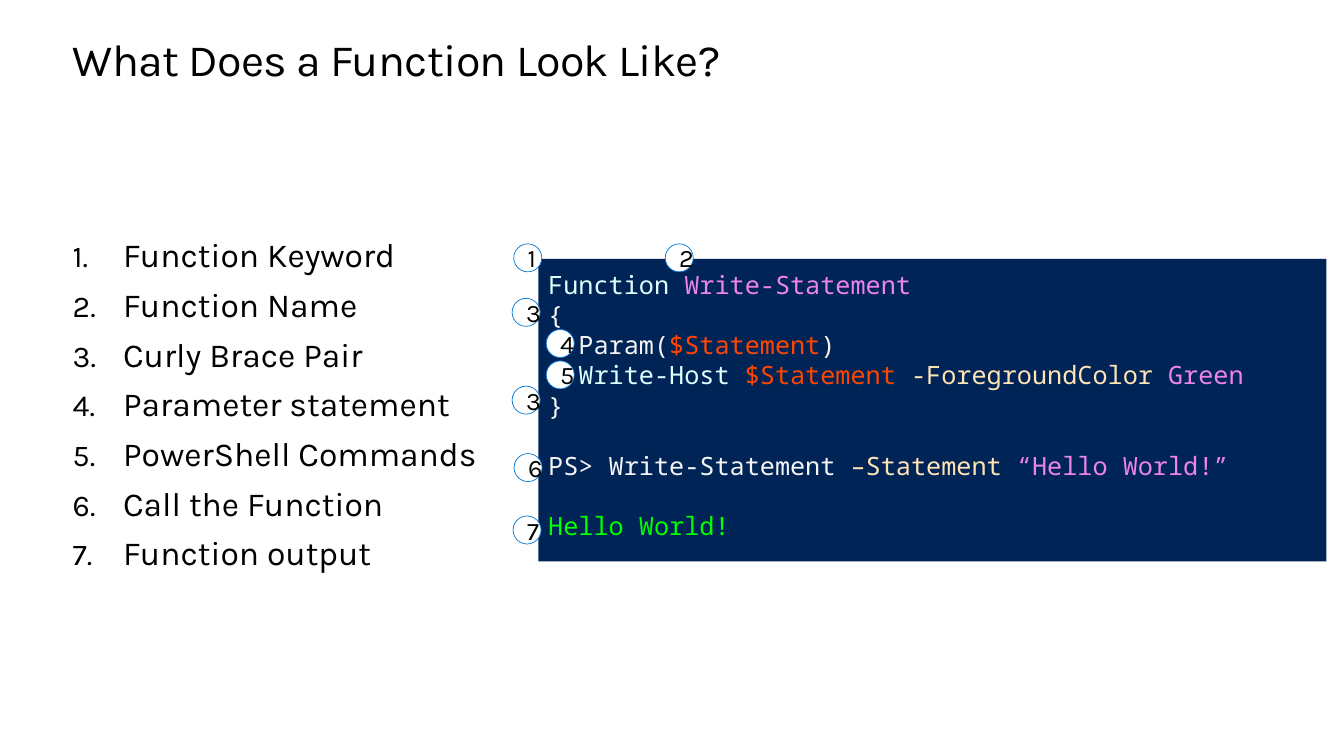
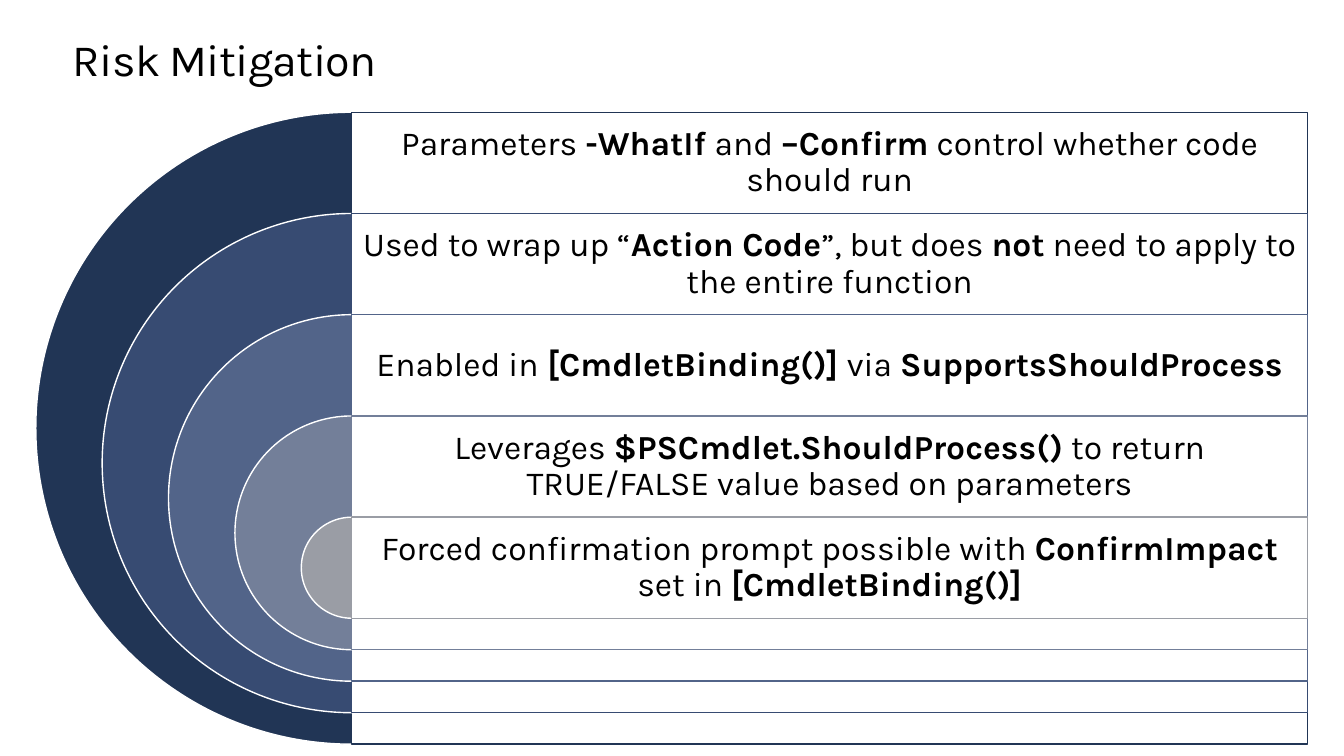
from pptx import Presentation
from pptx.dml.color import RGBColor
from pptx.enum.shapes import MSO_SHAPE as Preset
from pptx.enum.text import MSO_ANCHOR as Anchor, PP_ALIGN as Align
from pptx.oxml.ns import qn
from pptx.util import Pt
from lxml.etree import SubElement

COLORS = {
    "text": "000000", "paper": "FFFFFF", "badge": "0078D4", "console": "012456",
    "keyword": "E0FFFF", "string": "EE82EE", "plain": "F5F5F5",
    "variable": "FF4500", "parameter": "FFE4B5", "output": "00FF00",
    "ring1": "213555", "ring2": "374B72", "ring3": "526489",
    "ring4": "737F99", "ring5": "9A9DA5",
}
BODY_FONT, CODE_FONT = "Karla", "Noto Sans Mono"
CODE_SIZE, CODE_LINE, CODE_INDENT = 18, 21.5, 21.6

PARTS = ["Function Keyword", "Function Name", "Curly Brace Pair", "Parameter statement",
         "PowerShell Commands", "Call the Function", "Function output"]

# Each line: indent level, blank lines before it, then (text, colour) runs
CODE = [
    (0, 0, [("Function ", "keyword"), ("Write-Statement", "string")]),
    (0, 0, [("{", "plain")]),
    (1, 0, [("Param(", "plain"), ("$Statement", "variable"), (")", "plain")]),
    (1, 0, [("Write-Host ", "keyword"), ("$Statement ", "variable"),
            ("-ForegroundColor ", "parameter"), ("Green", "string")]),
    (0, 0, [("}", "plain")]),
    (0, 1, [("PS> Write-Statement ", "plain"), ("–Statement ", "parameter"),
            ("“Hello World!”", "string")]),
    (0, 1, [("Hello World!", "output")]),
]

BADGES = [("1", 367, 174.2), ("2", 475.2, 174.2), ("4", 390.2, 235.4), ("3", 365.8, 213.1),
          ("3", 365.8, 275.8), ("5", 390.2, 257.8), ("6", 367.2, 324), ("7", 366.5, 368.6)]

# Runs alternate between regular and bold, starting with regular
RISKS = [
    ["Parameters ", "-WhatIf ", "and ", "–Confirm", " control whether code should run"],
    ["Used to wrap up “", "Action Code", "”, but does ", "not",
     " need to apply to the entire function"],
    ["Enabled in", " [CmdletBinding()] ", "via ", "SupportsShouldProcess"],
    ["Leverages ", "$PSCmdlet.ShouldProcess()",
     " to return TRUE/FALSE value based on parameters"],
    ["Forced confirmation prompt possible with ", "ConfirmImpact", " set in ",
     "[CmdletBinding()]"],
]


def rgb(name):
    return RGBColor.from_string(COLORS[name])


class Deck:
    def __init__(self):
        self.prs = Presentation()
        self.prs.slide_width, self.prs.slide_height = Pt(960), Pt(540)
        self.slide = None

    def new_slide(self, title):
        self.slide = self.prs.slides.add_slide(self.prs.slide_layouts[6])
        heading = self.text_frame(52, 25.2, 857, 36.2).paragraphs[0]
        heading.line_spacing = Pt(36.2)
        run = self.run(heading, title, 32)
        run.font._element.set("spc", "-50")

    def run(self, paragraph, text, size=24, color="text", font=BODY_FONT, bold=False):
        run = paragraph.add_run()
        run.text = text
        run.font.name, run.font.size, run.font.bold = font, Pt(size), bold
        run.font.color.rgb = rgb(color)
        return run

    def set_margins(self, frame, margin):
        frame.margin_left = frame.margin_right = Pt(margin)
        frame.margin_top = frame.margin_bottom = Pt(margin)

    def text_frame(self, left, top, width, height, margin=0):
        box = self.slide.shapes.add_textbox(Pt(left), Pt(top), Pt(width), Pt(height))
        box.text_frame.word_wrap = True
        self.set_margins(box.text_frame, margin)
        return box.text_frame

    def shape(self, preset, left, top, width, height, fill, line=None, line_width=1):
        shape = self.slide.shapes.add_shape(preset, Pt(left), Pt(top), Pt(width), Pt(height))
        shape.shadow.inherit = False
        shape.fill.solid()
        shape.fill.fore_color.rgb = rgb(fill)
        if line:
            shape.line.color.rgb = rgb(line)
            shape.line.width = Pt(line_width)
        else:
            shape.line.fill.background()
        return shape

    def paragraphs(self, frame, items):
        """Yield a paragraph of the frame together with each item."""
        for index, item in enumerate(items):
            yield frame.add_paragraph() if index else frame.paragraphs[0], item

    def numbered_list(self, left, top, width, height, items):
        frame = self.text_frame(left, top, width, height)
        for paragraph, text in self.paragraphs(frame, items):
            paragraph.space_after = Pt(6.7)
            props = paragraph._p.get_or_add_pPr()
            props.set("marL", str(Pt(36)))
            props.set("indent", str(Pt(-36)))
            color = SubElement(props, qn("a:buClr"))
            SubElement(color, qn("a:srgbClr"), val=COLORS["text"])
            SubElement(props, qn("a:buSzPct"), val="90000")
            SubElement(props, qn("a:buFont"), typeface=BODY_FONT)
            SubElement(props, qn("a:buAutoNum"), type="arabicPeriod")
            self.run(paragraph, text)

    def console(self, left, top, width, height, lines):
        frame = self.shape(Preset.RECTANGLE, left, top, width, height, "console").text_frame
        frame.word_wrap, frame.vertical_anchor = True, Anchor.TOP
        self.set_margins(frame, 7.2)
        for paragraph, (level, gap, runs) in self.paragraphs(frame, lines):
            paragraph.alignment = Align.LEFT
            paragraph.space_before = Pt(gap * CODE_LINE)
            paragraph._p.get_or_add_pPr().set("marL", str(Pt(level * CODE_INDENT)))
            for text, color in runs:
                self.run(paragraph, text, CODE_SIZE, color, CODE_FONT)

    def badge(self, number, left, top):
        circle = self.shape(Preset.OVAL, left, top, 20, 20, "paper", "badge", 0.5)
        paragraph = circle.text_frame.paragraphs[0]
        paragraph.alignment = Align.CENTER
        self.run(paragraph, number, 18)

    def half_disc(self, center, top, diameter, color):
        disc = self.shape(Preset.PIE, center - diameter / 2, top, diameter, diameter,
                          color, "paper")
        # Angles of 90 and 270 degrees, in the preset's own unit
        disc.adjustments[0], disc.adjustments[1] = 54, 162

    def panel(self, left, top, width, height, color):
        panel = self.shape(Preset.RECTANGLE, left, top, width, height, "paper", color)
        fill_color = panel._element.spPr.find(qn("a:solidFill"))[0]
        SubElement(fill_color, qn("a:alpha"), val="90000")

    def statement(self, left, top, width, height, texts):
        frame = self.text_frame(left, top, width, height, 7.2)
        frame.vertical_anchor = Anchor.MIDDLE
        paragraph = frame.paragraphs[0]
        paragraph.alignment, paragraph.line_spacing = Align.CENTER, 0.9
        for index, text in enumerate(texts):
            self.run(paragraph, text, bold=index % 2 == 1)


def function_slide(deck):
    deck.new_slide("What Does a Function Look Like?")
    deck.numbered_list(52, 167.3, 314.6, 341, PARTS)
    deck.console(384.5, 185, 563, 216, CODE)
    for badge in BADGES:
        deck.badge(*badge)


def risk_slide(deck):
    deck.new_slide("Risk Mitigation")
    left, first_top, width, row = 251.3, 80.2, 682.6, 72.3
    largest, shrink = 451.4, 94.8
    for index, texts in enumerate(RISKS):
        top, diameter = first_top + index * row, largest - index * shrink
        color = f"ring{index + 1}"
        deck.half_disc(left, top, diameter, color)
        deck.panel(left, top, width, diameter, color)
        deck.statement(left, top, width, row, texts)


def main():
    deck = Deck()
    function_slide(deck)
    risk_slide(deck)
    deck.prs.save("out.pptx")


if __name__ == "__main__":
    main()
